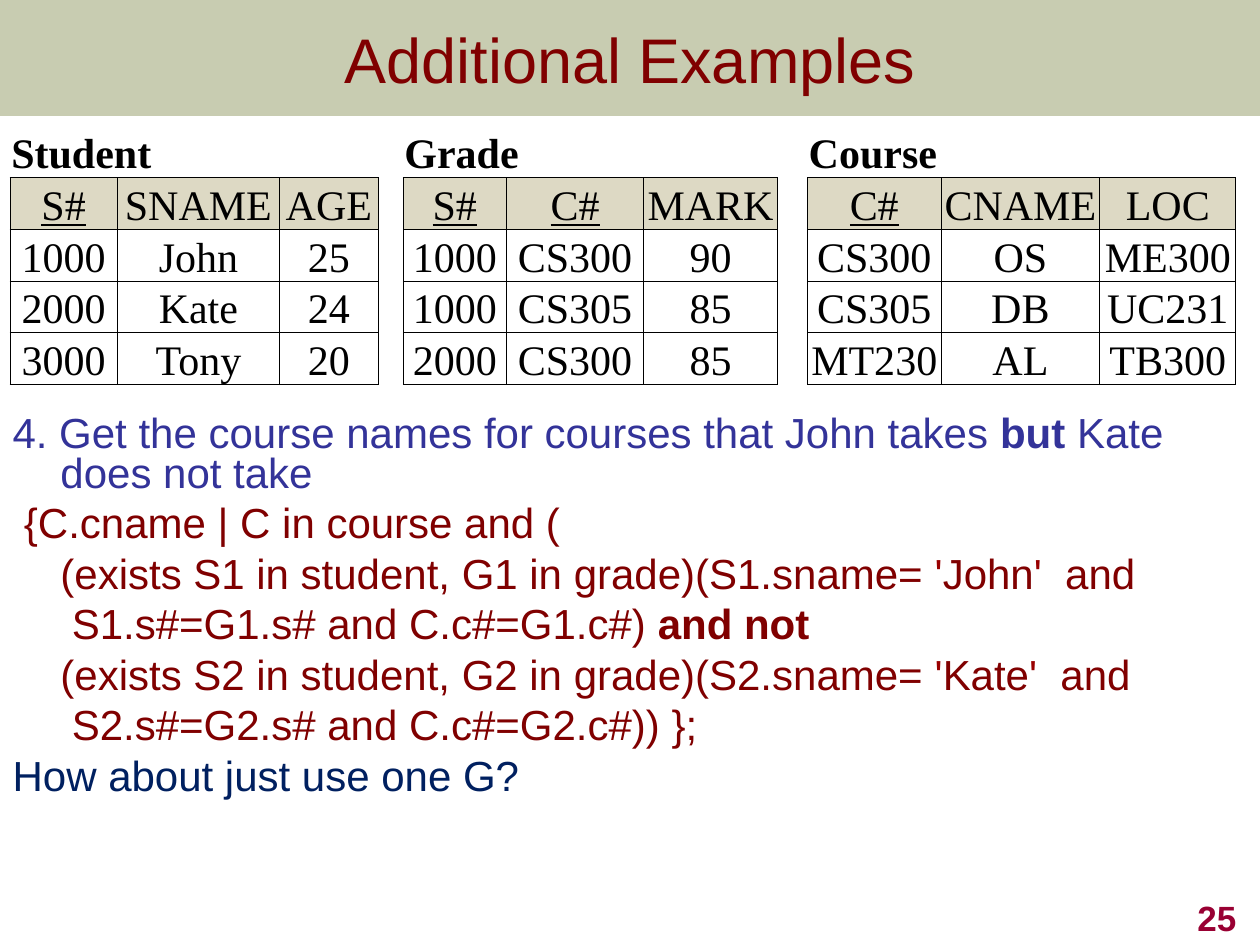
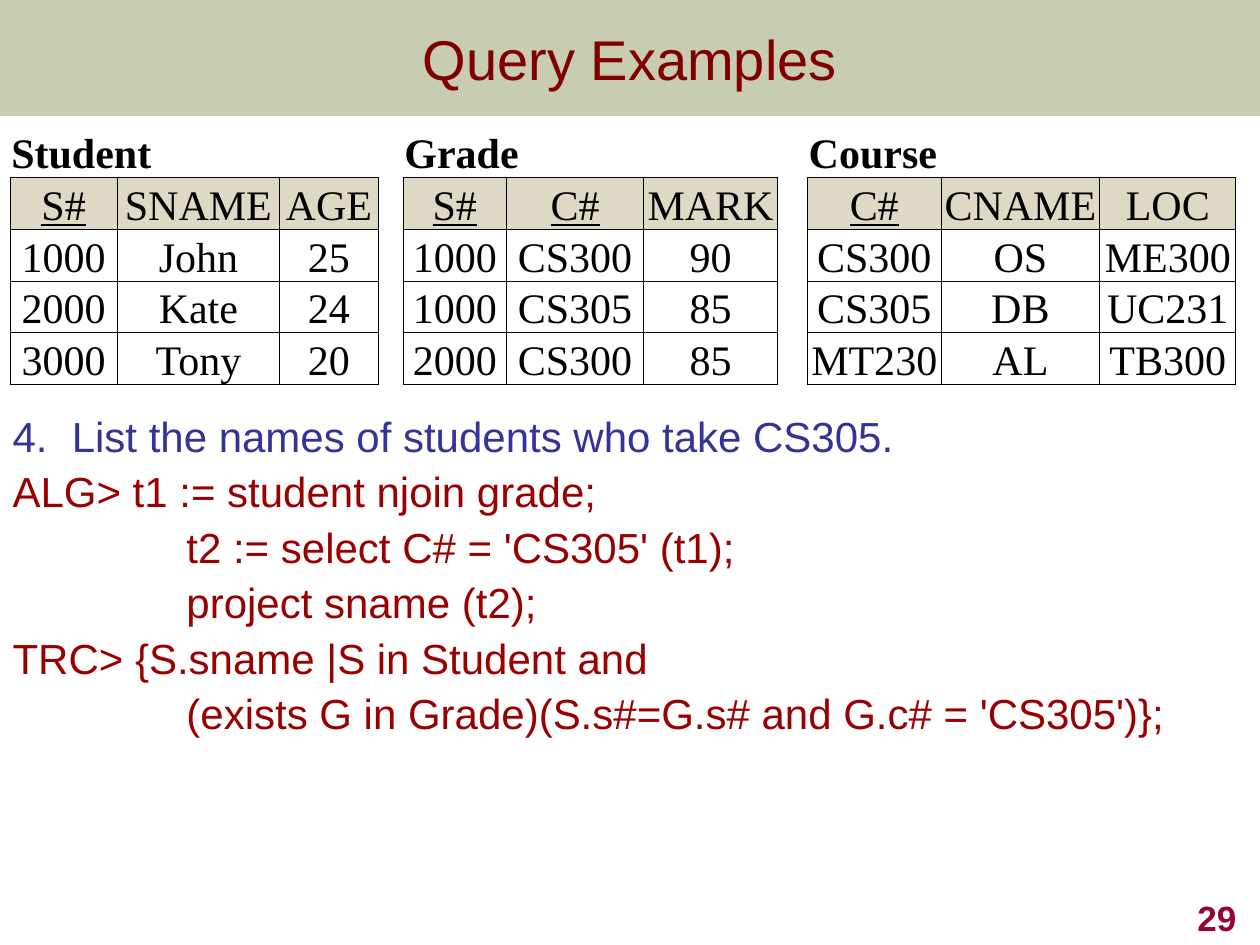
from dataclasses import dataclass

from lxml.etree import SubElement
from pptx import Presentation
from pptx.dml.color import RGBColor
from pptx.enum.shapes import MSO_SHAPE as Preset
from pptx.enum.text import MSO_ANCHOR as Anchor, MSO_AUTO_SIZE as AutoSize, PP_ALIGN as Align
from pptx.oxml import parse_xml
from pptx.oxml.ns import nsdecls, qn
from pptx.util import Inches, Pt

COLORS = {
    "band": "677228",
    "maroon": "800000",
    "red": "990000",
    "question": "333399",
    "navy": "002060",
    "number": "990033",
    "header": "DDD9C4",
    "white": "FFFFFF",
    "black": "000000",
}
SANS, SERIF = "Arial", "Times New Roman"
BAND_HEIGHT = Inches(0.92)
ROW_HEIGHT = Inches(0.38)


@dataclass(frozen=True)
class Relation:
    name: str
    widths: tuple[float, ...]
    rows: tuple[str, ...]
    keys: tuple[str, ...]
    gap_after: float = 0


@dataclass(frozen=True)
class Span:
    text: str
    color: str
    bold: bool = False


@dataclass(frozen=True)
class Line:
    spans: tuple[Span, ...]
    left: float = 0
    hanging: float = 0


@dataclass(frozen=True)
class Page:
    title: str
    title_size: int
    number: int
    body_width: float
    body_height: float
    line_spacing: float
    lines: tuple[Line, ...]


RELATIONS = (
    Relation("Student", (0.85, 1.29, 0.78),
             ("S# SNAME AGE", "1000 John 25", "2000 Kate 24", "3000 Tony 20"), ("S#",), 0.2),
    Relation("Grade", (0.82, 1.09, 1.06),
             ("S# C# MARK", "1000 CS300 90", "1000 CS305 85", "2000 CS300 85"), ("S#", "C#"), 0.24),
    Relation("Course", (1.06, 1.26, 1.08),
             ("C# CNAME LOC", "CS300 OS ME300", "CS305 DB UC231", "MT230 AL TB300"), ("C#",)),
)


def plain(text: str, color: str, left: float = 0, hanging: float = 0) -> Line:
    return Line((Span(text, color),), left, hanging)


def exists_line(index: int, student: str) -> Line:
    opening = f"(exists S{index} in student, G{index} in grade)(S{index}.sname= "
    return Line((Span(opening, "maroon"), Span("'", "red"), Span(student, "maroon"),
                 Span("'", "red"), Span("  and", "maroon")), 0.38)


PAGES = (
    Page("Additional Examples", 36, 25, 9.67, 3.67, 0.8, (
        Line((Span("4. Get the course names for courses that John takes ", "question"),
              Span("but ", "question", True),
              Span("Kate does not take", "question")), 0.38, 0.38),
        plain("{C.cname | C in course and (", "maroon", 0.09),
        exists_line(1, "John"),
        Line((Span("S1.s#=G1.s# and C.c#=G1.c#) ", "maroon"),
              Span("and not", "maroon", True)), 0.47),
        exists_line(2, "Kate"),
        plain("S2.s#=G2.s# and C.c#=G2.c#)) };", "maroon", 0.47),
        plain("How about just use one G?", "navy"),
    )),
    Page("Query Examples", 32, 29, 9.25, 3.58, 0.9, (
        plain("4.\tList the names of students who take CS305.", "question", 0.47, 0.47),
        plain("ALG> t1 := student njoin grade;", "red"),
        plain("t2 := select C# = 'CS305' (t1);", "red", 1.38),
        plain("project sname (t2);", "red", 1.38),
        plain("TRC> {S.sname |S in Student and", "red"),
        plain("(exists G in Grade)(S.s#=G.s# and G.c# = 'CS305')};", "red", 1.38),
    )),
)


def rgb(name: str) -> RGBColor:
    return RGBColor.from_string(COLORS[name])


def set_font(font, face: str, size: float, color: str, bold: bool = False) -> None:
    font.name = face
    font.size = Pt(size)
    font.bold = bold
    font.color.rgb = rgb(color)


def place(box, left: float, top: float, width: float, height: float) -> None:
    box.left, box.top, box.width, box.height = map(Inches, (left, top, width, height))


def draw_band(slide, width: int) -> None:
    band = slide.shapes.add_shape(Preset.RECTANGLE, 0, 0, width, BAND_HEIGHT)
    band.shadow.inherit = False
    band.line.fill.background()
    band.fill.solid()
    band.fill.fore_color.rgb = rgb("band")
    color = band.fill._xPr.find(qn("a:solidFill"))[0]
    SubElement(color, qn("a:alpha"), val="36000")
    slide.shapes._spTree.insert(2, band._element)


def draw_title(slide, page: Page) -> None:
    title = slide.shapes.title
    place(title, 0, 0, 10, 0.92)
    frame = title.text_frame
    frame.text = page.title
    frame.auto_size = AutoSize.NONE
    frame.vertical_anchor = Anchor.MIDDLE
    para = frame.paragraphs[0]
    para.alignment = Align.CENTER
    set_font(para.font, SANS, page.title_size, "maroon")


def draw_body(slide, page: Page) -> None:
    body = slide.placeholders[1]
    place(body, 0, 3.25, page.body_width, page.body_height)
    frame = body.text_frame
    frame.auto_size = AutoSize.NONE
    frame.word_wrap = True
    frame.vertical_anchor = Anchor.TOP
    frame.margin_right = 0
    for index, line in enumerate(page.lines):
        para = frame.add_paragraph() if index else frame.paragraphs[0]
        properties = para._p.get_or_add_pPr()
        properties.set("marL", str(Inches(line.left)))
        properties.set("indent", str(-Inches(line.hanging)))
        SubElement(properties, qn("a:buNone"))
        para.alignment = Align.LEFT
        para.line_spacing = page.line_spacing
        para.space_before = Pt(5.8 if index else 0)
        for span in line.spans:
            run = para.add_run()
            run.text = span.text
            set_font(run.font, SANS, 24, span.color, span.bold)


def draw_number(slide, number: int) -> None:
    box = slide.shapes.add_textbox(Inches(7.83), Inches(7), Inches(2.08), Inches(0.5))
    frame = box.text_frame
    frame.word_wrap = True
    frame.vertical_anchor = Anchor.BOTTOM
    para = frame.paragraphs[0]
    para.text = str(number)
    para.alignment = Align.RIGHT
    set_font(para.font, SANS, 20, "number", True)


def format_cell(cell, fill: str, borders: str) -> None:
    cell.margin_left = cell.margin_right = cell.margin_top = Inches(0.01)
    cell.margin_bottom = 0
    cell.vertical_anchor = Anchor.BOTTOM
    cell.fill.solid()
    cell.fill.fore_color.rgb = rgb(fill)
    properties = cell._tc.get_or_add_tcPr()
    for index, side in enumerate("LRTB"):
        paint = (f'<a:solidFill><a:srgbClr val="{COLORS["black"]}"/></a:solidFill>'
                 if side in borders else "<a:noFill/>")
        width = Pt(0.5) if side in borders else 0
        properties.insert(index, parse_xml(
            f'<a:ln{side} {nsdecls("a")} w="{width}">{paint}</a:ln{side}>'))


def write_cell(cell, text: str, bold: bool = False, key: bool = False) -> None:
    para = cell.text_frame.paragraphs[0]
    para.text = text
    para.alignment = Align.LEFT if bold else Align.CENTER
    set_font(para.font, SERIF, 24, "black", bold)
    para.font.underline = key


def fill_relation(table, relation: Relation, start: int) -> None:
    for offset in range(len(relation.widths)):
        format_cell(table.cell(0, start + offset), "white", "B")
    heading = table.cell(0, start)
    heading.merge(table.cell(0, start + len(relation.widths) - 1))
    write_cell(heading, relation.name, bold=True)
    for row, values in enumerate(relation.rows, 1):
        for column, value in enumerate(values.split(), start):
            cell = table.cell(row, column)
            format_cell(cell, "header" if row == 1 else "white", "LRTB")
            write_cell(cell, value, key=row == 1 and value in relation.keys)


def draw_relations(slide) -> None:
    widths = [width for relation in RELATIONS
              for width in (*relation.widths, relation.gap_after) if width]
    row_count = len(RELATIONS[0].rows) + 1
    table = slide.shapes.add_table(row_count, len(widths), Inches(0.08), Inches(1),
                                   Inches(sum(widths)), ROW_HEIGHT * row_count).table
    table.first_row = table.horz_banding = False
    for column, width in zip(table.columns, widths):
        column.width = Inches(width)
    for row in table.rows:
        row.height = ROW_HEIGHT
    start = 0
    for relation in RELATIONS:
        fill_relation(table, relation, start)
        start += len(relation.widths)
        if relation.gap_after:
            for row in range(row_count):
                format_cell(table.cell(row, start), "white", "LR" if row else "")
            start += 1


def main() -> None:
    deck = Presentation()
    deck.slide_width, deck.slide_height = Inches(10), Inches(7.5)
    for page in PAGES:
        slide = deck.slides.add_slide(deck.slide_layouts[1])
        draw_band(slide, deck.slide_width)
        draw_title(slide, page)
        draw_body(slide, page)
        draw_number(slide, page.number)
        draw_relations(slide)
    deck.save("out.pptx")


if __name__ == "__main__":
    main()
